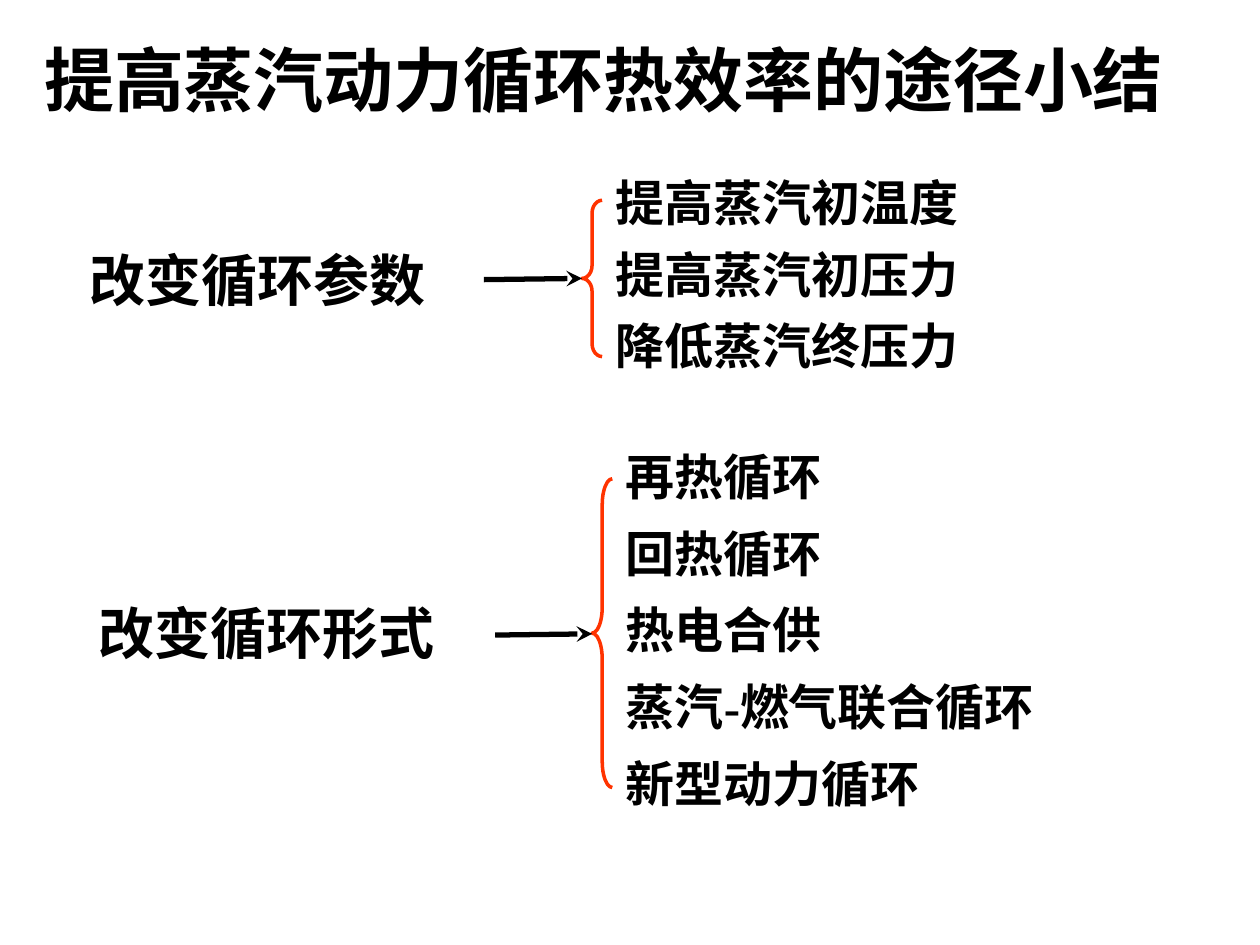
from lxml import etree
from pptx import Presentation
from pptx.dml.color import RGBColor
from pptx.enum.shapes import MSO_CONNECTOR, MSO_SHAPE
from pptx.enum.text import MSO_ANCHOR, PP_ALIGN
from pptx.oxml.ns import qn
from pptx.util import Pt

BLACK = RGBColor(0x00, 0x00, 0x00)
RED = RGBColor(0xFF, 0x33, 0x00)
LATIN_FONT = "Times New Roman"
CHINESE_FONT = "Noto Sans CJK SC"
LEFT_BRACE = MSO_SHAPE.LEFT_BRACE
STRAIGHT = MSO_CONNECTOR.STRAIGHT
TITLE_ONLY = 5
ITEM_HEIGHT = 41

# label: text, left, top, width, height; arrow: x1, y1, x2, y2
# brace: left, top, width, height, curvature; items: (text, width)
GROUPS = [
    {
        "label": ("改变循环参数", 43.9, 136.8, 232.6, 46),
        "arrow": (276.5, 159.8, 332.6, 159.1),
        "brace": (332.6, 114.5, 11.5, 89.3, 0.64),
        "items": [("提高蒸汽初温度", 213), ("提高蒸汽初压力", 213),
                  ("降低蒸汽终压力", 213)],
        "items_left": 344.9, "items_top": 95, "pitch": 41,
    },
    {
        "label": ("改变循环形式", 49, 338.4, 257.8, 46),
        "arrow": (283, 362.9, 338.4, 362.2),
        "brace": (338.4, 273.6, 11.5, 176.4, 1.29),
        "items": [("再热循环", 245), ("回热循环", 274), ("热电合供", 305),
                  ("蒸汽-燃气联合循环", 353), ("新型动力循环", 299)],
        "items_left": 350.6, "items_top": 251.5, "pitch": 43.9,
    },
]


def write_text(text_frame, text, size, latin_font):
    """Fill one bold paragraph, with the Chinese font for East Asian glyphs."""
    text_frame.text = text
    paragraph = text_frame.paragraphs[0]
    paragraph.alignment = PP_ALIGN.LEFT
    run = paragraph.runs[0]
    run.font.name = latin_font
    run.font.size = Pt(size)
    run.font.bold = True
    run.font.color.rgb = BLACK
    east_asian = etree.SubElement(run.font._element, qn("a:ea"))
    east_asian.set("typeface", CHINESE_FONT)
    return paragraph


def add_title(slide, text):
    title = slide.shapes.title
    title.left, title.top, title.width, title.height = (
        Pt(18), Pt(18), Pt(666), Pt(60))
    title.text_frame.vertical_anchor = MSO_ANCHOR.MIDDLE
    paragraph = write_text(title.text_frame, text, 40, CHINESE_FONT)
    paragraph.line_spacing = 0.9
    paragraph.space_before = Pt(0)


def add_text(slide, text, left, top, width, height, size):
    box = slide.shapes.add_textbox(Pt(left), Pt(top), Pt(width), Pt(height))
    box.text_frame.word_wrap = True
    write_text(box.text_frame, text, size, LATIN_FONT)


def add_brace(slide, left, top, width, height, curvature):
    brace = slide.shapes.add_shape(
        LEFT_BRACE, Pt(left), Pt(top), Pt(width), Pt(height))
    brace.adjustments[0] = curvature
    brace.adjustments[1] = 0.5
    brace.shadow.inherit = False
    brace.fill.background()
    brace.line.color.rgb = RED
    brace.line.width = Pt(2)


def add_arrow(slide, x1, y1, x2, y2):
    arrow = slide.shapes.add_connector(STRAIGHT, Pt(x1), Pt(y1), Pt(x2), Pt(y2))
    arrow.line.color.rgb = BLACK
    arrow.line.width = Pt(3)
    properties = arrow._element.spPr
    head = etree.SubElement(properties.find(qn("a:ln")), qn("a:tailEnd"))
    head.set("type", "stealth")
    etree.SubElement(properties, qn("a:effectLst"))


def add_group(slide, group):
    """Draw a label with an arrow to its braced list of measures."""
    add_text(slide, *group["label"], size=32)
    add_brace(slide, *group["brace"])
    add_arrow(slide, *group["arrow"])
    for index, (text, width) in enumerate(group["items"]):
        top = group["items_top"] + index * group["pitch"]
        add_text(slide, text, group["items_left"], top, width, ITEM_HEIGHT, size=28)


def main():
    presentation = Presentation()
    presentation.slide_width = Pt(720)
    presentation.slide_height = Pt(540)
    slide = presentation.slides.add_slide(presentation.slide_layouts[TITLE_ONLY])
    add_title(slide, "提高蒸汽动力循环热效率的途径小结")
    for group in GROUPS:
        add_group(slide, group)
    presentation.save("out.pptx")


if __name__ == "__main__":
    main()
